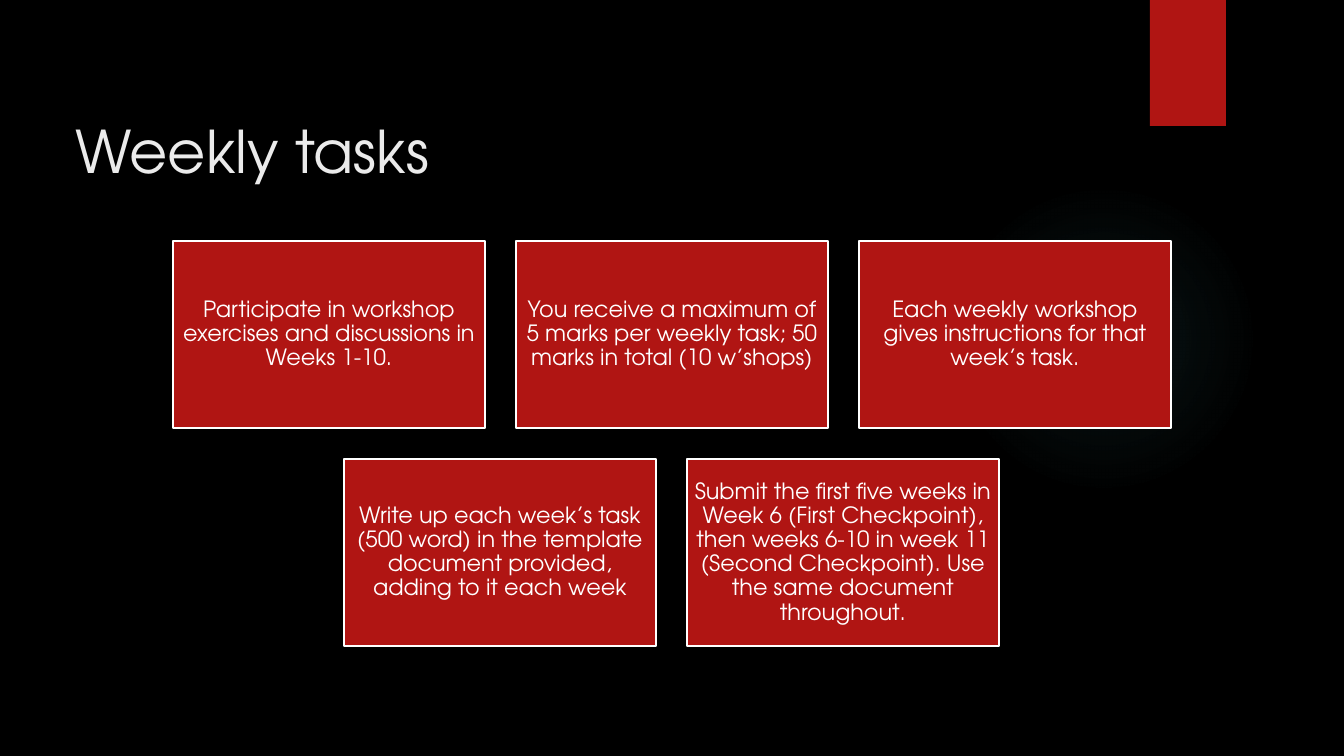
import lxml.etree
import pptx
import pptx.dml.color
import pptx.enum.shapes
import pptx.enum.text
import pptx.oxml
import pptx.oxml.ns
import pptx.util

BLACK = pptx.dml.color.RGBColor(0x00, 0x00, 0x00)
WHITE = pptx.dml.color.RGBColor(0xFF, 0xFF, 0xFF)
OFF_WHITE = pptx.dml.color.RGBColor(0xEB, 0xEB, 0xEB)
RED = pptx.dml.color.RGBColor(0xB0, 0x15, 0x13)
TEAL = pptx.dml.color.RGBColor(0x50, 0xB9, 0xC1)

PAGE_WIDTH, PAGE_HEIGHT = 1344, 756
CARD_WIDTH, CARD_HEIGHT, CARD_GAP, CARDS_TOP = 312, 187, 31, 241
GLOW_STOPS = [(0, 7), (36, 6), (69, 0)]  # position and opacity, percent

TASK_ROWS = [
    ["Participate in workshop exercises and discussions in Weeks 1-10.",
     "You receive a maximum of 5 marks per weekly task; 50 marks in total (10 w’shops)",
     "Each weekly workshop gives instructions for that week’s task."],
    ["Write up each week’s task (500 word) in the template document provided, "
     "adding to it each week",
     "Submit the first five weeks in Week 6 (First Checkpoint), then weeks 6-10 in "
     "week 11 (Second Checkpoint). Use the same document throughout."],
]


def px(length):
    return pptx.util.Emu(round(length * 914400 / 100.8))


def write_text(frame, text, *, size, colour, font, align, anchor, spacing=1.0, inset=None):
    frame.word_wrap = True
    frame.vertical_anchor = anchor
    if inset is not None:
        frame.margin_left = frame.margin_right = px(inset)
        frame.margin_top = frame.margin_bottom = px(inset)
    para = frame.paragraphs[0]
    para.alignment = align
    para.line_spacing = spacing
    span = para.add_run()
    span.text = text
    span.font.name = font
    span.font.size = pptx.util.Pt(size)
    span.font.color.rgb = colour


class SlideBuilder:
    font = "TeX Gyre Adventor"

    def __init__(self, page):
        self.page = page

    def background(self, colour):
        self.page.background.fill.solid()
        self.page.background.fill.fore_color.rgb = colour

    def shape(self, kind, left, top, width, height, fill=None, line=None):
        box = self.page.shapes.add_shape(kind, px(left), px(top), px(width), px(height))
        box.shadow.inherit = False
        if fill is not None:
            box.fill.solid()
            box.fill.fore_color.rgb = fill
        if line is None:
            box.line.fill.background()
        else:
            box.line.color.rgb = line
            box.line.width = pptx.util.Pt(1.5)
        return box

    def rectangle(self, *bounds, **style):
        return self.shape(pptx.enum.shapes.MSO_SHAPE.RECTANGLE, *bounds, **style)

    def glow(self, left, top, size, colour):
        disc = self.shape(pptx.enum.shapes.MSO_SHAPE.OVAL, left, top, size, size)
        stops = "".join(
            f'<a:gs pos="{position * 1000}"><a:srgbClr val="{colour}">'
            f'<a:alpha val="{opacity * 1000}"/></a:srgbClr></a:gs>'
            for position, opacity in GLOW_STOPS)
        gradient = pptx.oxml.parse_xml(
            f'<a:gradFill {pptx.oxml.ns.nsdecls("a")}><a:gsLst>{stops}</a:gsLst>'
            '<a:path path="circle"><a:fillToRect l="50000" t="50000" r="50000" b="50000"/>'
            '</a:path></a:gradFill>')
        geometry = disc.element.spPr.find(pptx.oxml.ns.qn("a:prstGeom"))
        geometry.addnext(gradient)

    def title(self, text, left, top, width, height):
        box = self.page.shapes.title
        box.left, box.top, box.width, box.height = map(px, (left, top, width, height))
        write_text(box.text_frame, text, size=42, colour=OFF_WHITE, font=self.font,
                   align=pptx.enum.text.PP_ALIGN.LEFT,
                   anchor=pptx.enum.text.MSO_ANCHOR.BOTTOM)

    def card(self, text, left, top):
        box = self.rectangle(left, top, CARD_WIDTH, CARD_HEIGHT, fill=RED, line=WHITE)
        write_text(box.text_frame, text, size=16, colour=WHITE, font=self.font,
                   align=pptx.enum.text.PP_ALIGN.CENTER,
                   anchor=pptx.enum.text.MSO_ANCHOR.MIDDLE, spacing=0.9, inset=7)


def main():
    deck = pptx.Presentation()
    deck.slide_width, deck.slide_height = px(PAGE_WIDTH), px(PAGE_HEIGHT)
    title_only = deck.slide_layouts[5]
    builder = SlideBuilder(deck.slides.add_slide(title_only))

    # Backdrop
    builder.background(BLACK)
    builder.glow(949, 184, 310, TEAL)
    builder.rectangle(1150, 0, 76, 126, fill=RED)

    # Title
    builder.title("Weekly tasks", 65, 78, 1216, 112)

    # Task cards, each row centred on the page
    for row, tasks in enumerate(TASK_ROWS):
        row_width = len(tasks) * (CARD_WIDTH + CARD_GAP) - CARD_GAP
        row_left = (PAGE_WIDTH - row_width) // 2
        top = CARDS_TOP + row * (CARD_HEIGHT + CARD_GAP)
        for column, task in enumerate(tasks):
            builder.card(task, row_left + column * (CARD_WIDTH + CARD_GAP), top)

    deck.save("out.pptx")


if __name__ == "__main__":
    main()
